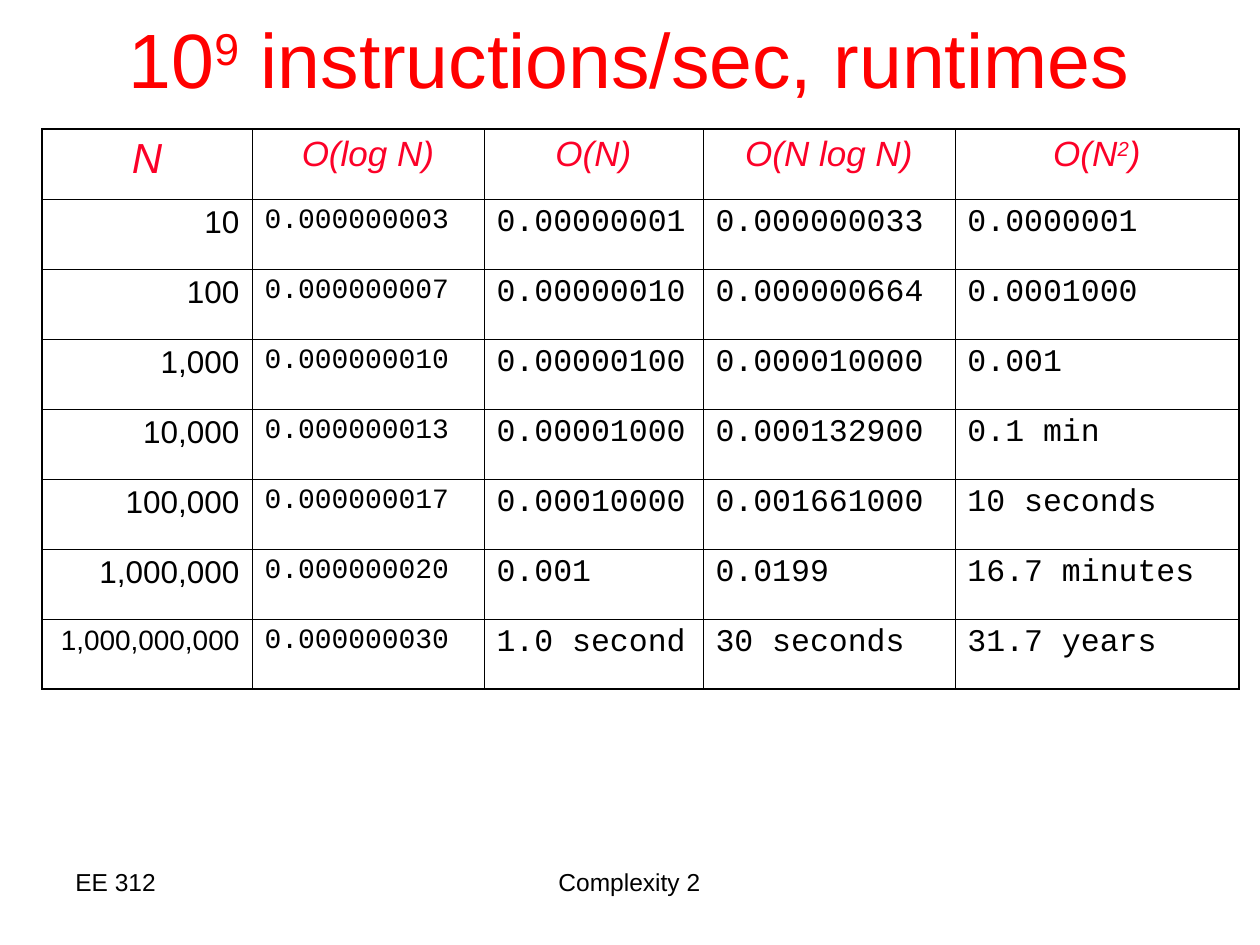
from lxml.etree import SubElement
from pptx import Presentation
from pptx.dml.color import RGBColor
from pptx.enum.text import MSO_ANCHOR, PP_ALIGN
from pptx.oxml.ns import qn
from pptx.util import Emu, Pt

SCALE = 914400 // 126
COLORS = {"title": "FF0000", "header": "FC0128", "text": "000000", "border": "000000"}
THIN, THICK = 0.45, 1.08
COLUMN_WIDTHS = [210, 232, 219, 252, 284]
ROW_HEIGHT = 70
HEADERS = ["N", "O(log N)", "O(N)", "O(N log N)", "O(N^2^)"]
RUNTIMES = [
    ["10", "0.000000003", "0.00000001", "0.000000033", "0.0000001"],
    ["100", "0.000000007", "0.00000010", "0.000000664", "0.0001000"],
    ["1,000", "0.000000010", "0.00000100", "0.000010000", "0.001"],
    ["10,000", "0.000000013", "0.00001000", "0.000132900", "0.1 min"],
    ["100,000", "0.000000017", "0.00010000", "0.001661000", "10 seconds"],
    ["1,000,000", "0.000000020", "0.001", "0.0199", "16.7 minutes"],
    ["1,000,000,000", "0.000000030", "1.0 second", "30 seconds", "31.7 years"],
]


class SlideBuilder:
    """Holds the fonts and the current slide, and adds its elements."""

    sans = "Arial"
    mono = "Courier New"

    def __init__(self, slide):
        """Keep the slide to draw on."""
        self.slide = slide

    def add_runs(self, frame, text, size, color="text", font=sans,
                 align=PP_ALIGN.LEFT, italic=False):
        """Fill a frame with runs; carets enclose superscripts."""
        paragraph = frame.paragraphs[0]
        paragraph.alignment = align
        for index, part in enumerate(text.split("^")):
            run = paragraph.add_run()
            run.text = part
            run.font.size = Pt(size)
            run.font.name = font
            run.font.italic = italic
            run.font.color.rgb = RGBColor.from_string(COLORS[color])
            if index % 2:
                run._r.get_or_add_rPr().set("baseline", "30000")
        return paragraph

    def text(self, box, text, size, anchor=MSO_ANCHOR.TOP, **style):
        """Add a wrapped text box."""
        shape = self.slide.shapes.add_textbox(*[Emu(n * SCALE) for n in box])
        shape.text_frame.word_wrap = True
        shape.text_frame.vertical_anchor = anchor
        self.add_runs(shape.text_frame, text, size, **style)

    def borders(self, cell, widths):
        """Draw the left, right, top and bottom lines of a cell."""
        properties = cell._tc.get_or_add_tcPr()
        for side, width in zip("LRTB", widths):
            line = SubElement(properties, qn(f"a:ln{side}"), w=str(int(Pt(width))))
            fill = SubElement(line, qn("a:solidFill"))
            SubElement(fill, qn("a:srgbClr"), val=COLORS["border"])

    def cell_style(self, row, column, text):
        """Return the text style that belongs to a table position."""
        if row == 0:
            return dict(size=20 if column else 24, color="header",
                        align=PP_ALIGN.CENTER, italic=True)
        if column == 0:
            return dict(size=16 if len(text) > 10 else 18, align=PP_ALIGN.RIGHT)
        return dict(size=16 if column == 1 else 18, font=self.mono)

    def table(self, left, top, widths, row_height, rows):
        """Add a table with thin inner lines and a thick frame."""
        box = (left, top, sum(widths), row_height * len(rows))
        frame = self.slide.shapes.add_table(
            len(rows), len(widths), *[Emu(n * SCALE) for n in box])
        table = frame.table
        table.first_row = table.horz_banding = False
        for column, width in zip(table.columns, widths):
            column.width = Emu(width * SCALE)
        last_row, last_column = len(rows) - 1, len(widths) - 1
        for r, values in enumerate(rows):
            table.rows[r].height = Emu(row_height * SCALE)
            for c, text in enumerate(values):
                cell = table.cell(r, c)
                style = self.cell_style(r, c, text)
                paragraph = self.add_runs(cell.text_frame, text, **style)
                paragraph.space_before = Pt(style["size"] / 4)
                outer = (c == 0, c == last_column, r == 0, r == last_row)
                self.borders(cell, [THICK if edge else THIN for edge in outer])
                cell.fill.background()


presentation = Presentation()
presentation.slide_width = Emu(1260 * SCALE)
presentation.slide_height = Emu(945 * SCALE)
builder = SlideBuilder(presentation.slides.add_slide(presentation.slide_layouts[6]))
builder.text((63, 861, 315, 63), "EE 312", 14)
builder.text((388, 861, 483, 63), "Complexity 2", 14, align=PP_ALIGN.CENTER)
builder.text((94, -21, 1071, 158), "10^9^ instructions/sec, runtimes", 44,
             anchor=MSO_ANCHOR.MIDDLE, color="title", align=PP_ALIGN.CENTER)
builder.table(42, 129, COLUMN_WIDTHS, ROW_HEIGHT, [HEADERS] + RUNTIMES)
presentation.save("out.pptx")
